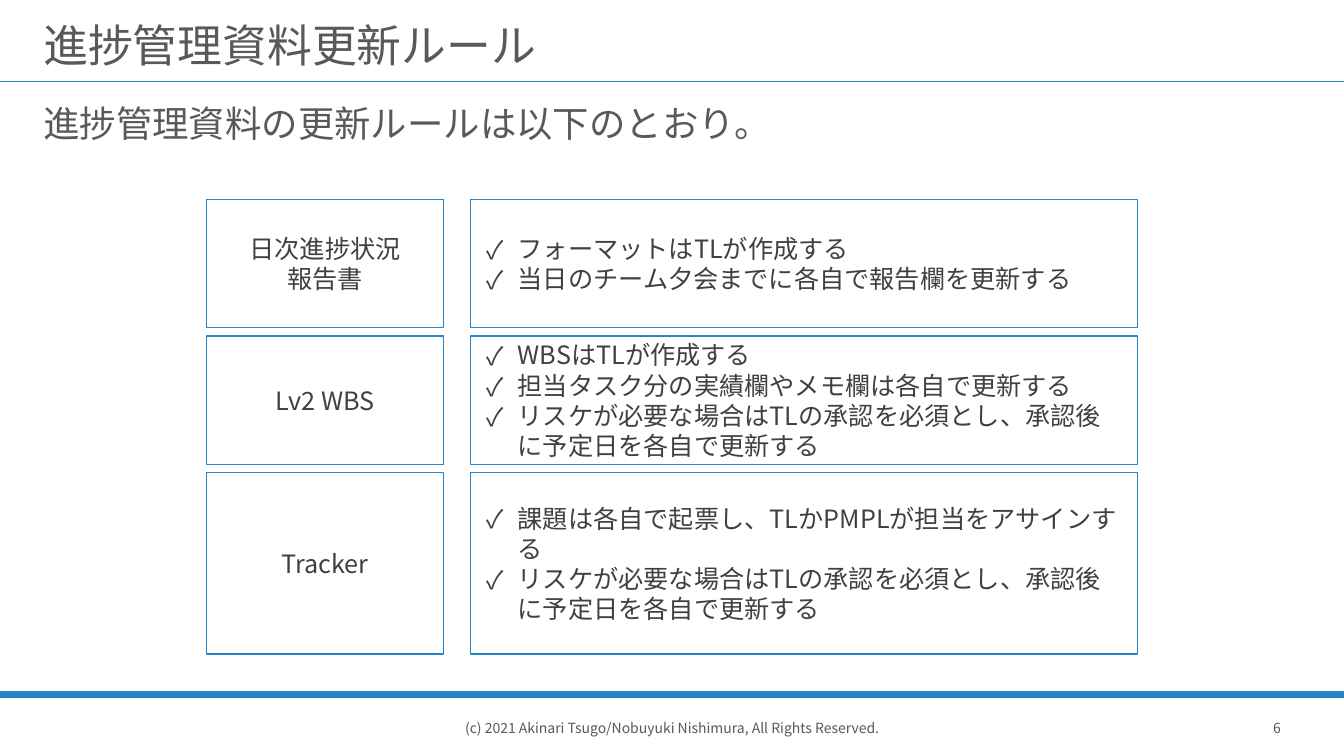
from lxml.etree import SubElement
from pptx import Presentation
from pptx.dml.color import RGBColor
from pptx.enum.shapes import MSO_CONNECTOR as CONN, MSO_SHAPE as SHAPE
from pptx.enum.text import MSO_ANCHOR as ANCHOR, PP_ALIGN as ALIGN
from pptx.oxml.ns import qn
from pptx.util import Cm, Pt

# Content
TITLE = "進捗管理資料更新ルール"
LEAD = "進捗管理資料の更新ルールは以下のとおり。"
COPYRIGHT = "(c) 2021 Akinari Tsugo/Nobuyuki Nishimura, All Rights Reserved."
PAGE = "6"
RULES = [  # document, row height in cm, update rules
    ("日次進捗状況\v報告書", 3.23, [
        "フォーマットはTLが作成する",
        "当日のチーム夕会までに各自で報告欄を更新する"]),
    ("Lv2 WBS", 3.23, [
        "WBSはTLが作成する",
        "担当タスク分の実績欄やメモ欄は各自で更新する",
        "リスケが必要な場合はTLの承認を必須とし、承認後に予定日を各自で更新する"]),
    ("Tracker", 4.57, [
        "課題は各自で起票し、TLかPMPLが担当をアサインする",
        "リスケが必要な場合はTLの承認を必須とし、承認後に予定日を各自で更新する"]),
]

# Style and layout, lengths in cm
FONT = "Noto Sans CJK JP"
BLUE = RGBColor(0x26, 0x83, 0xC6)
WHITE = RGBColor(0xFF, 0xFF, 0xFF)
GRAY = RGBColor(0x59, 0x59, 0x59)
DARK = RGBColor(0x40, 0x40, 0x40)
WIDTH, HEIGHT = 33.87, 19.05
NAME_X, NAME_W = 5.21, 5.97
RULE_X, RULE_W = 11.86, 16.81
ROWS_TOP, ROW_GAP = 5.03, 0.21
BULLET_INDENT = Cm(0.78)

prs = Presentation()
prs.slide_width, prs.slide_height = Cm(WIDTH), Cm(HEIGHT)
s = prs.slides.add_slide(prs.slide_layouts[6])


def write(tf, lines, size, color, align=ALIGN.LEFT, anchor=ANCHOR.MIDDLE,
          wrap=True, spacing=1.0, bullet=None):
    tf.word_wrap = wrap
    tf.vertical_anchor = anchor
    tf.text = "\n".join(lines)
    for p in tf.paragraphs:
        p.alignment = align
        p.line_spacing = spacing
        if bullet:
            pPr = p._p.get_or_add_pPr()
            pPr.set("marL", str(BULLET_INDENT))
            pPr.set("indent", str(-BULLET_INDENT))
            SubElement(pPr, qn("a:buFont"), typeface=FONT)
            SubElement(pPr, qn("a:buChar"), char=bullet)
        for r in p.runs:
            r.font.size = Pt(size)
            r.font.name = FONT
            r.font.color.rgb = color
            SubElement(r._r.get_or_add_rPr(), qn("a:ea"), typeface=FONT)


def set_margins(tf, left, top, right, bottom):
    tf.margin_left, tf.margin_top = Cm(left), Cm(top)
    tf.margin_right, tf.margin_bottom = Cm(right), Cm(bottom)


def add_text(x, y, w, h, text, size, **style):
    tf = s.shapes.add_textbox(Cm(x), Cm(y), Cm(w), Cm(h)).text_frame
    write(tf, [text], size, GRAY, **style)
    return tf


def add_box(x, y, w, h):
    box = s.shapes.add_shape(SHAPE.RECTANGLE, Cm(x), Cm(y), Cm(w), Cm(h))
    box.shadow.inherit = False
    box.fill.solid()
    box.fill.fore_color.rgb = WHITE
    box.line.color.rgb = BLUE
    box.line.width = Pt(1)
    return box.text_frame


# Header and footer lines
for y, weight in [(2.05, 1), (17.5, 4.5)]:
    line = s.shapes.add_connector(CONN.STRAIGHT, 0, Cm(y), Cm(WIDTH), Cm(y))
    line.line.color.rgb = BLUE
    line.line.width = Pt(weight)
    SubElement(line._element.spPr, qn("a:effectLst"))

# Title, lead and footer
title = add_text(0.84, 0.15, 32.18, 1.75, TITLE, 32, spacing=0.9)
set_margins(title, 0.25, 0.51, 0.25, 0.13)
add_text(0.84, 2.54, 32.18, 1.85, LEAD, 26, anchor=ANCHOR.TOP, spacing=0.9)
for center, w, text in [(WIDTH / 2, 11.4, COPYRIGHT), (32.18, 1.68, PAGE)]:
    add_text(center - w / 2, 17.65, w, 1.4, text, 10,
             align=ALIGN.CENTER, wrap=False)

# Rows: document name and its rules
top = ROWS_TOP
for name, height, rules in RULES:
    tf = add_box(RULE_X, top, RULE_W, height)
    set_margins(tf, 0.41, 0.2, 0.41, 0.2)
    write(tf, rules, 18, DARK, bullet="✓")
    write(add_box(NAME_X, top, NAME_W, height), [name], 18, DARK,
          align=ALIGN.CENTER)
    top += height + ROW_GAP

prs.save("out.pptx")
